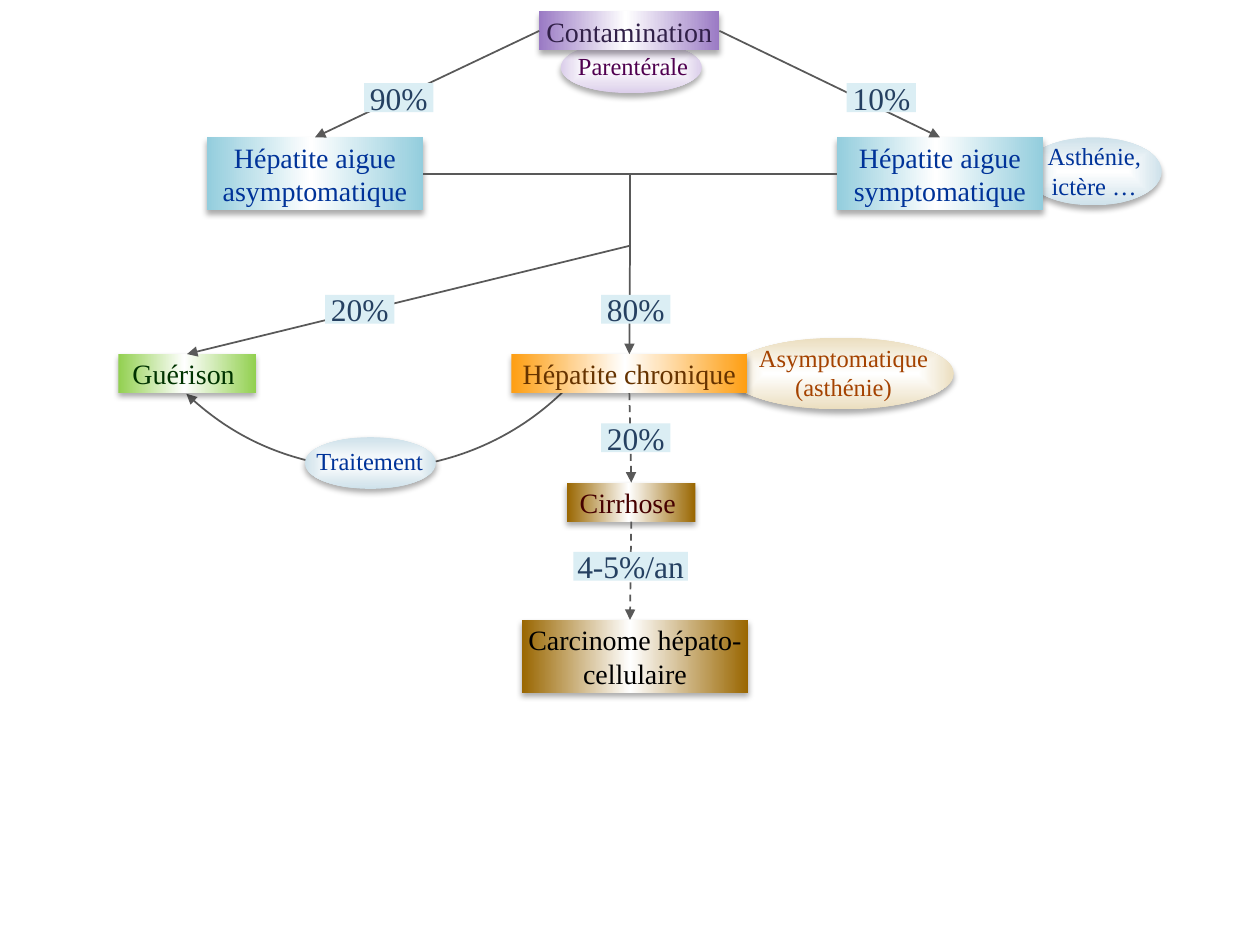
from dataclasses import dataclass
from typing import Optional

from lxml import etree
from pptx import Presentation
from pptx.dml.color import RGBColor
from pptx.enum.dml import MSO_LINE
from pptx.enum.shapes import MSO_CONNECTOR, MSO_SHAPE
from pptx.enum.text import MSO_ANCHOR, MSO_AUTO_SIZE, PP_ALIGN
from pptx.oxml import parse_xml
from pptx.oxml.ns import nsdecls, qn
from pptx.util import Inches, Pt

RECTANGLE, OVAL, ARC = MSO_SHAPE.RECTANGLE, MSO_SHAPE.OVAL, MSO_SHAPE.ARC
STRAIGHT = MSO_CONNECTOR.STRAIGHT
DASH = MSO_LINE.DASH
MIDDLE = MSO_ANCHOR.MIDDLE
CENTER = PP_ALIGN.CENTER
GROW = MSO_AUTO_SIZE.SHAPE_TO_FIT_TEXT
TOP, LEFT, BOTTOM, RIGHT = range(4)

FONT = "Times New Roman"
WHITE = RGBColor(0xFF, 0xFF, 0xFF)
BLACK = RGBColor(0, 0, 0)
GREY = RGBColor(0x59, 0x59, 0x59)
NAVY = RGBColor(0x00, 0x33, 0x99)
SKY = RGBColor(0x93, 0xCD, 0xDD)
PALE_BLUE = RGBColor(0xCE, 0xE1, 0xEA)
LILAC = RGBColor(0xDB, 0xCE, 0xEA)
PLUM = RGBColor(0x50, 0x00, 0x50)
SAND = RGBColor(0xEB, 0xDE, 0xBF)
RUST = RGBColor(0xA4, 0x42, 0x00)
PURPLE = RGBColor(0x9A, 0x7A, 0xC4)
DARK_PURPLE = RGBColor(0x31, 0x20, 0x48)
GREEN = RGBColor(0x92, 0xD0, 0x50)
DARK_GREEN = RGBColor(0x00, 0x33, 0x00)
ORANGE = RGBColor(0xFE, 0x9E, 0x12)
BROWN = RGBColor(0x66, 0x33, 0x00)
BRONZE = RGBColor(0x99, 0x66, 0x00)
MAROON = RGBColor(0x46, 0x00, 0x00)
RATE_FILL = RGBColor(0xDB, 0xEE, 0xF4)
RATE_TEXT = RGBColor(0x25, 0x40, 0x61)

Box = tuple[float, float, float, float]
Point = tuple[float, float]


@dataclass
class Stage:
    key: str
    text: str
    box: Box
    fill: RGBColor
    color: RGBColor


@dataclass
class Note:
    text: str
    oval: Box
    text_box: Box
    fill: RGBColor
    color: RGBColor


@dataclass
class Link:
    start: Point
    end: Point
    source: Optional[tuple[str, int]] = None
    target: Optional[tuple[str, int]] = None
    arrow: bool = True
    dashed: bool = False


@dataclass
class Rate:
    text: str
    left: float
    top: float
    width: float = 0.55


STAGES = [
    Stage("contamination", "Contamination", (4.28, 0.09, 1.43, 0.31), PURPLE, DARK_PURPLE),
    Stage("asymptomatic", "Hépatite aigue asymptomatique", (1.64, 1.09, 1.72, 0.58), SKY, NAVY),
    Stage("symptomatic", "Hépatite aigue symptomatique", (6.64, 1.09, 1.64, 0.58), SKY, NAVY),
    Stage("recovery", "Guérison ", (0.94, 2.81, 1.09, 0.31), GREEN, DARK_GREEN),
    Stage("chronic", "Hépatite chronique", (4.06, 2.81, 1.87, 0.31), ORANGE, BROWN),
    Stage("cirrhosis", "Cirrhose ", (4.5, 3.83, 1.02, 0.31), BRONZE, MAROON),
    Stage("carcinoma", "Carcinome hépato-cellulaire", (4.14, 4.92, 1.8, 0.58), BRONZE, BLACK),
]
NOTES = [
    Note("Parentérale", (4.45, 0.33, 1.12, 0.41), (4.17, 0.38, 1.71, 0.28), LILAC, PLUM),
    Note("Asthénie, ictère …", (8.13, 1.09, 1.09, 0.54), (8.14, 1.1, 1.09, 0.51), PALE_BLUE, NAVY),
    Note("Asymptomatique (asthénie)", (5.78, 2.68, 1.79, 0.57), (5.84, 2.7, 1.71, 0.51), SAND, RUST),
    Note("Traitement", (2.42, 3.47, 1.04, 0.41), (2.47, 3.52, 0.93, 0.28), PALE_BLUE, NAVY),
]
LINKS = [
    Link((4.28, 0.24), (2.5, 1.09), ("contamination", LEFT), ("asymptomatic", TOP)),
    Link((5.72, 0.24), (7.46, 1.09), ("contamination", RIGHT), ("symptomatic", TOP)),
    Link((3.36, 1.38), (6.64, 1.38), ("asymptomatic", RIGHT), ("symptomatic", LEFT), arrow=False),
    Link((5, 1.38), (5, 1.95), arrow=False),
    Link((5, 1.95), (1.48, 2.81), target=("recovery", TOP)),
    Link((5, 1.95), (5, 2.81), target=("chronic", TOP)),
    Link((5, 3.12), (5, 3.83), ("chronic", BOTTOM), ("cirrhosis", TOP), dashed=True),
    Link((5, 4.14), (5, 4.92), ("cirrhosis", BOTTOM), dashed=True),
]
RATES = [
    Rate("90%", 2.89, 0.66),
    Rate("10%", 6.72, 0.66),
    Rate("20%", 2.58, 2.34),
    Rate("80%", 4.77, 2.34),
    Rate("20%", 4.77, 3.36),
    Rate("4-5%/an", 4.55, 4.38, 0.91),
]
TREATMENT_ARC: Box = (0.81, -0.59, 4.31, 4.31)
TREATMENT_TURN = 133.6


def inches(box: Box) -> list[int]:
    return [Inches(length) for length in box]


def write(shape, text: str, size: float, color: RGBColor, inset: float = 0.02) -> None:
    frame = shape.text_frame
    frame.word_wrap = True
    frame.vertical_anchor = MIDDLE
    frame.margin_left = frame.margin_right = Inches(0.02)
    frame.margin_top = frame.margin_bottom = Inches(inset)
    paragraph = frame.paragraphs[0]
    paragraph.alignment = CENTER
    run = paragraph.add_run()
    run.text = text
    run.font.name, run.font.size = FONT, Pt(size)
    run.font.color.rgb = color


def add_raised(slide, preset, box: Box, stops: list[tuple[int, RGBColor]], direction: str):
    """Add an outline-free shape with a gradient and a soft shadow below."""
    shape = slide.shapes.add_shape(preset, *inches(box))
    shape.line.fill.background()
    shape.fill.gradient()
    properties = shape._element.spPr
    stop_xml = "".join(
        f'<a:gs pos="{percent * 1000}"><a:srgbClr val="{color}"/></a:gs>' for percent, color in stops)
    properties.replace(properties.find(qn("a:gradFill")), parse_xml(
        f'<a:gradFill {nsdecls("a")} rotWithShape="1"><a:gsLst>{stop_xml}</a:gsLst>{direction}</a:gradFill>'))
    shape.shadow.inherit = False
    properties.find(qn("a:effectLst")).append(parse_xml(
        f'<a:outerShdw {nsdecls("a")} blurRad="{Pt(3.5)}" dist="{Pt(2.2)}" dir="5400000" rotWithShape="0">'
        '<a:srgbClr val="000000"><a:alpha val="32000"/></a:srgbClr></a:outerShdw>'))
    return shape


def add_stage(slide, stage: Stage):
    shape = add_raised(slide, RECTANGLE, stage.box,
                       [(0, stage.fill), (48, WHITE), (100, stage.fill)], '<a:lin ang="0" scaled="1"/>')
    write(shape, stage.text, 16, stage.color)
    shape.text_frame.auto_size = GROW
    return shape


def add_note(slide, note: Note) -> None:
    add_raised(slide, OVAL, note.oval, [(0, WHITE), (100, note.fill)],
               '<a:path path="shape"><a:fillToRect l="50000" t="50000" r="50000" b="50000"/></a:path>')
    caption = slide.shapes.add_textbox(*inches(note.text_box))
    write(caption, note.text, 14, note.color)
    caption.text_frame.auto_size = GROW


def style_line(line, arrow: bool) -> None:
    line.color.rgb = GREY
    line.width = Pt(1)
    if arrow:
        etree.SubElement(line._get_or_add_ln(), qn("a:tailEnd"), type="triangle")


def add_link(slide, link: Link, stages: dict) -> None:
    connector = slide.shapes.add_connector(STRAIGHT, *inches(link.start + link.end))
    if link.source:
        connector.begin_connect(stages[link.source[0]], link.source[1])
    if link.target:
        connector.end_connect(stages[link.target[0]], link.target[1])
    if link.dashed:
        connector.line.dash_style = DASH
    style_line(connector.line, link.arrow)
    etree.SubElement(connector._element.spPr, qn("a:effectLst"))


def add_treatment_arc(slide) -> None:
    arc = slide.shapes.add_shape(ARC, *inches(TREATMENT_ARC))
    arc.rotation = TREATMENT_TURN
    arc.fill.background()
    arc.shadow.inherit = False
    style_line(arc.line, arrow=True)


def add_rate(slide, rate: Rate) -> None:
    label = slide.shapes.add_shape(RECTANGLE, *inches((rate.left, rate.top, rate.width, 0.23)))
    label.fill.solid()
    label.fill.fore_color.rgb = RATE_FILL
    label.line.fill.background()
    label.shadow.inherit = False
    write(label, rate.text, 18, RATE_TEXT, inset=0.01)


def main() -> None:
    deck = Presentation()
    deck.slide_width, deck.slide_height = Inches(10), Inches(7.5)
    slide = deck.slides.add_slide(deck.slide_layouts[6])
    add_treatment_arc(slide)
    for note in NOTES:
        add_note(slide, note)
    stages = {stage.key: add_stage(slide, stage) for stage in STAGES}
    for link in LINKS:
        add_link(slide, link, stages)
    for rate in RATES:
        add_rate(slide, rate)
    deck.save("out.pptx")


if __name__ == "__main__":
    main()
